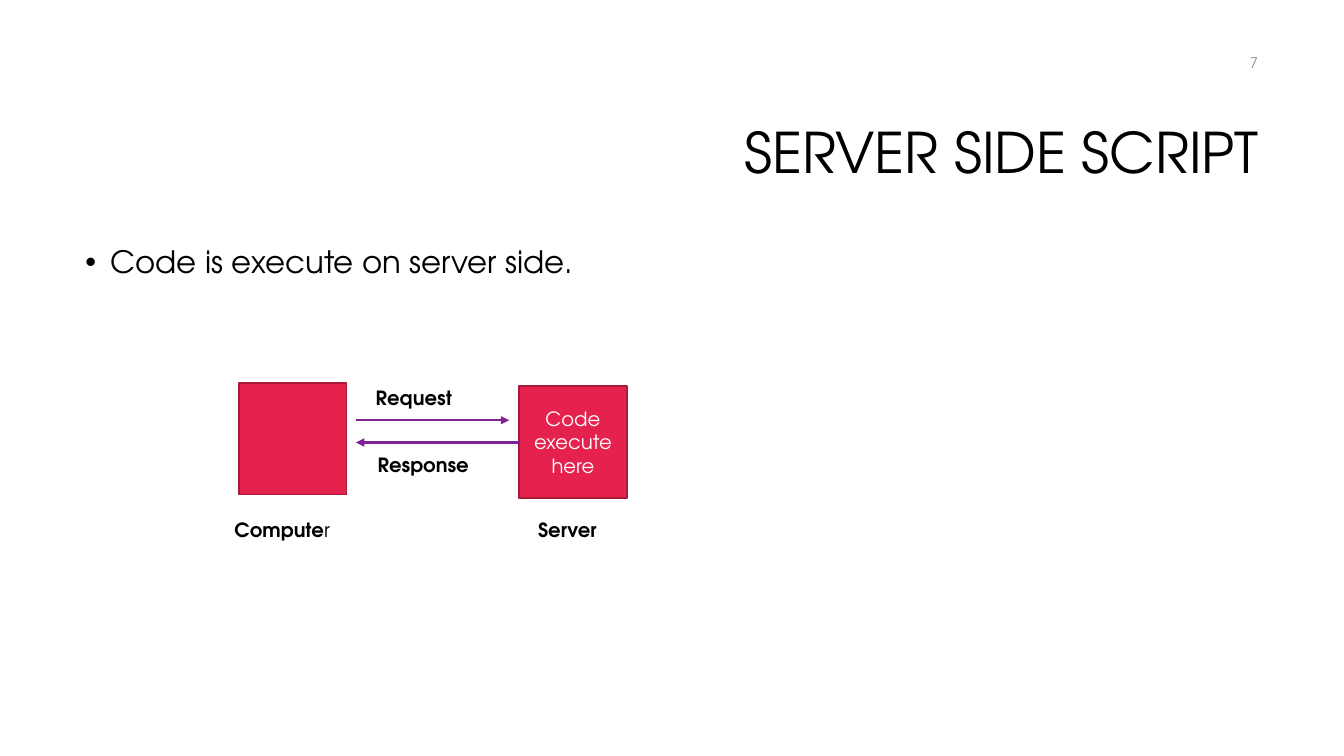
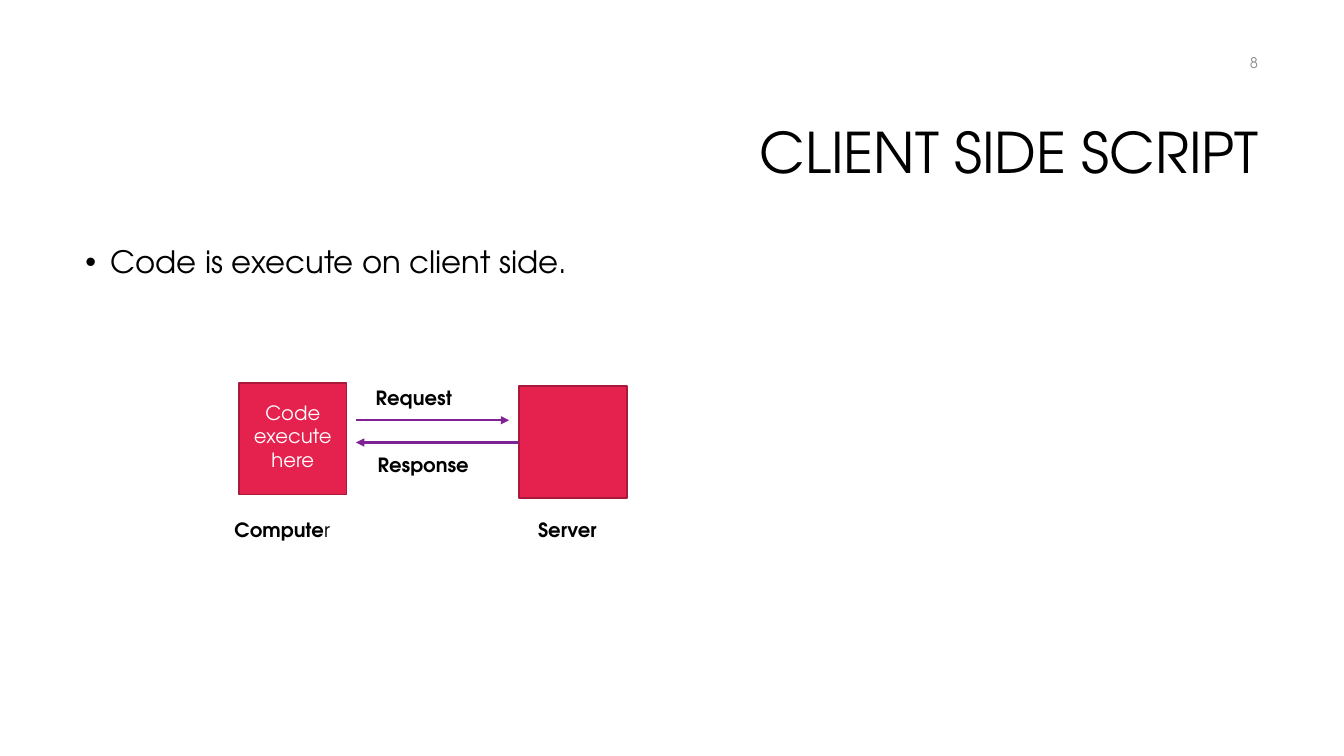
from lxml.etree import SubElement
from pptx import Presentation
from pptx.dml.color import RGBColor
from pptx.enum.shapes import MSO_CONNECTOR, MSO_SHAPE
from pptx.enum.text import MSO_ANCHOR, MSO_AUTO_SIZE, PP_ALIGN
from pptx.oxml.ns import qn
from pptx.util import Cm, Pt

FONT = "TeX Gyre Adventor"
BLACK, WHITE, GRAY = "000000", "FFFFFF", "8C8C8C"
PINK, DARK_PINK, PURPLE = "E5224E", "A9193A", "7F2294"


def rgb(color):
    return RGBColor.from_string(color)


class Deck:
    """Holds the presentation, its style and the current slide."""

    def __init__(self):
        self.prs = Presentation()
        self.prs.slide_width, self.prs.slide_height = Cm(33.87), Cm(19.05)
        self.s = None

    def style(self, p, size, color=BLACK, bold=False, align=PP_ALIGN.LEFT):
        p.alignment = align
        for r in p.runs:
            r.font.name, r.font.size, r.font.bold = FONT, Pt(size), bold
            r.font.color.rgb = rgb(color)

    def place(self, sp, left, top, width, height):
        sp.left, sp.top = Cm(left), Cm(top)
        sp.width, sp.height = Cm(width), Cm(height)

    def add_slide(self, title, bullet, number):
        self.s = self.prs.slides.add_slide(self.prs.slide_layouts[1])
        self.title(title)
        self.bullet(bullet)
        self.text(str(number), 24.33, 1.07, 7.62, 1.02, 10.5, GRAY,
                  align=PP_ALIGN.RIGHT, anchor=MSO_ANCHOR.MIDDLE)

    def title(self, text):
        sp = self.s.shapes.title
        self.place(sp, 8.05, 2.13, 23.93, 3.58)
        tf = sp.text_frame
        tf.text = text
        tf.auto_size = MSO_AUTO_SIZE.NONE
        tf.vertical_anchor = MSO_ANCHOR.MIDDLE
        p = tf.paragraphs[0]
        p.line_spacing = 0.9
        self.style(p, 40, align=PP_ALIGN.RIGHT)

    def bullet(self, text):
        sp = self.s.placeholders[1]
        self.place(sp, 1.9, 6.1, 30.05, 11.18)
        tf = sp.text_frame
        tf.text = text
        tf.auto_size = MSO_AUTO_SIZE.NONE
        p = tf.paragraphs[0]
        p.line_spacing, p.space_before = 0.9, Pt(10)
        self.style(p, 22)
        pPr = p._p.get_or_add_pPr()
        indent = Pt(18)
        pPr.set("marL", str(indent))
        pPr.set("indent", str(-indent))
        SubElement(pPr, qn("a:buFont")).set("typeface", "Arial")
        SubElement(pPr, qn("a:buChar")).set("char", "•")

    def text(self, text, left, top, width, height, size, color=BLACK,
             bold=False, align=PP_ALIGN.LEFT, anchor=MSO_ANCHOR.TOP):
        sp = self.s.shapes.add_textbox(Cm(left), Cm(top), Cm(width), Cm(height))
        tf = sp.text_frame
        tf.word_wrap = True
        tf.vertical_anchor = anchor
        tf.text = text
        p = tf.paragraphs[0]
        self.style(p, size, color, bold, align)
        return p

    def label(self, text, left, top, width=3.33):
        return self.text(text, left, top, width, 0.86, 14, bold=True)

    def box(self, left, top, text, lift=0):
        """Draw a machine; lift is extra room kept below its text."""
        sp = self.s.shapes.add_shape(MSO_SHAPE.RECTANGLE, Cm(left), Cm(top),
                                     Cm(2.72), Cm(2.82))
        sp.shadow.inherit = False
        sp.fill.solid()
        sp.fill.fore_color.rgb = rgb(PINK)
        sp.line.color.rgb = rgb(DARK_PINK)
        sp.line.width = Pt(1)
        if text:
            tf = sp.text_frame
            tf.word_wrap = True
            tf.vertical_anchor = MSO_ANCHOR.MIDDLE
            tf.margin_bottom = Cm(0.13 + lift)
            tf.text = text
            self.style(tf.paragraphs[0], 14, WHITE, align=PP_ALIGN.CENTER)

    def arrow(self, start, end, y):
        line = self.s.shapes.add_connector(MSO_CONNECTOR.STRAIGHT, Cm(start),
                                           Cm(y), Cm(end), Cm(y))
        line.line.color.rgb = rgb(PURPLE)
        line.line.width = Pt(1.5)
        SubElement(line.line._get_or_add_ln(), qn("a:tailEnd")).set("type", "triangle")
        SubElement(line._element.spPr, qn("a:effectLst"))

    def exchange(self, computer_text="", server_text=""):
        """Draw the computer and the server with the traffic between them."""
        self.box(6.02, 9.65, computer_text, lift=0.14)
        self.box(13.08, 9.73, server_text)
        self.arrow(8.97, 12.83, 10.59)
        self.arrow(13.08, 8.97, 11.15)
        p = self.label("Compute", 5.66, 12.93)
        r = p.add_run()
        r.text = "r"
        self.style(p, 14, bold=True)
        r.font.bold = False
        self.label("Server", 13.31, 12.93, 2.26)
        self.label("Request", 9.22, 9.6)
        self.label("Response", 9.27, 11.28)


def main():
    deck = Deck()
    code = "Code execute here"
    deck.add_slide("SERVER SIDE SCRIPT", "Code is execute on server side.", 7)
    deck.exchange(server_text=code)
    deck.add_slide("CLIENT SIDE SCRIPT", "Code is execute on client side.", 8)
    deck.exchange(computer_text=code)
    deck.prs.save("out.pptx")


if __name__ == "__main__":
    main()
